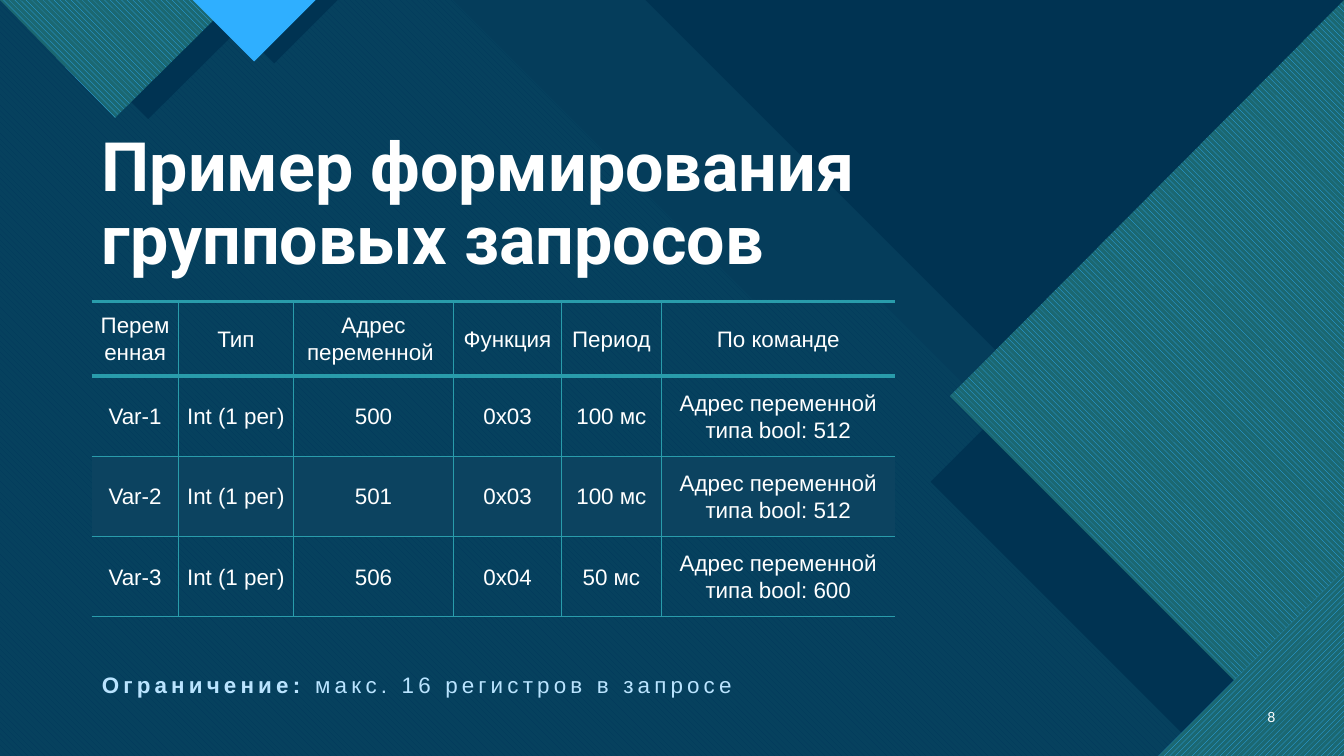
import math
from dataclasses import dataclass

from lxml import etree
from pptx import Presentation
from pptx import util as u
from pptx.dml.color import RGBColor
from pptx.enum import dml, text
from pptx.oxml.ns import qn


@dataclass(frozen=True)
class Theme:
    base: str = "0C4360"
    navy: str = "003352"
    aqua: str = "47C3D3"
    teal: str = "1B6872"
    blue: str = "0065A4"
    sky: str = "2FAFFF"
    pale: str = "BAE4FF"
    white: str = "FFFFFF"
    rule: str = "299CAB"
    head_font: str = "Roboto"
    body_font: str = "Arial"
    number_font: str = "Lato"
    title_size: float = 48.6
    body_size: float = 16
    number_size: float = 10
    thick: float = 3
    thin: float = 1


T = Theme()
DOWN = dml.MSO_PATTERN.WIDE_DOWNWARD_DIAGONAL
UP = dml.MSO_PATTERN.WIDE_UPWARD_DIAGONAL


def rgb(value):
    return RGBColor.from_string(value)


def add_run(p, words, font=T.body_font, size=T.body_size, color=T.white, bold=False, spacing=0):
    r = p.add_run()
    r.text = words
    r.font.name, r.font.size, r.font.bold = font, u.Pt(size), bold
    r.font.color.rgb = rgb(color)
    if spacing:
        r._r.get_or_add_rPr().set("spc", str(spacing * 100))
    return r


def turn(point, degrees):
    a = math.radians(degrees)
    x, y = point
    return x * math.cos(a) - y * math.sin(a), x * math.sin(a) + y * math.cos(a)


class SlideBuilder:
    def __init__(self, prs, theme):
        self.theme = theme
        self.s = prs.slides.add_slide(prs.slide_layouts[1])
        fill = self.s.background.fill
        fill.solid()
        fill.fore_color.rgb = rgb(theme.base)

    def polygon(self, points, color, back=None, pattern=None, alpha=None, rotation=0):
        """Outline in slide inches; rotation turns only the direction of the pattern."""
        local = [turn(pt, -rotation) for pt in points]
        emu = [(u.Inches(x), u.Inches(y)) for x, y in local]
        builder = self.s.shapes.build_freeform(*emu[0], scale=1)
        builder.add_line_segments(emu[1:], close=True)
        sp = builder.convert_to_shape()
        middle = [(min(axis) + max(axis)) / 2 for axis in zip(*local)]
        cx, cy = turn(middle, rotation)
        sp.left = u.Inches(cx) - sp.width // 2
        sp.top = u.Inches(cy) - sp.height // 2
        sp.rotation = rotation
        sp.shadow.inherit = False
        sp.line.fill.background()
        if pattern:
            sp.fill.patterned()
            sp.fill.pattern = pattern
            sp.fill.back_color.rgb = rgb(back)
        else:
            sp.fill.solid()
        sp.fill.fore_color.rgb = rgb(color)
        if alpha:
            clr = sp._element.spPr.find(".//" + qn("a:srgbClr"))
            etree.SubElement(clr, qn("a:alpha")).set("val", str(alpha * 1000))

    def place(self, sp, left, top, width, height, anchor):
        """Bring a text shape to the front and set its box."""
        self.s.shapes._spTree.append(sp._element)
        sp.left, sp.top = u.Inches(left), u.Inches(top)
        sp.width, sp.height = u.Inches(width), u.Inches(height)
        tf = sp.text_frame
        tf.word_wrap = True
        tf.auto_size = text.MSO_AUTO_SIZE.NONE
        tf.vertical_anchor = anchor
        return tf.paragraphs[0]

    def title(self, words, *box):
        p = self.place(self.s.shapes.title, *box, text.MSO_ANCHOR.BOTTOM)
        p.alignment, p.line_spacing = text.PP_ALIGN.LEFT, 0.9
        add_run(p, words, font=self.theme.head_font, size=self.theme.title_size, bold=True)

    def body(self, label, words, *box):
        p = self.place(self.s.placeholders[1], *box, text.MSO_ANCHOR.TOP)
        p.line_spacing, p.space_before = 0.9, u.Pt(10)
        pPr = p._p.get_or_add_pPr()
        pPr.set("marL", "0")
        pPr.set("indent", "0")
        etree.SubElement(pPr, qn("a:buNone"))
        add_run(p, label, color=self.theme.pale, bold=True, spacing=3)
        add_run(p, words, color=self.theme.pale, spacing=3)

    def number(self, words, *box):
        sp = self.s.shapes.add_textbox(0, 0, 0, 0)
        p = self.place(sp, *box, text.MSO_ANCHOR.MIDDLE)
        p.alignment = text.PP_ALIGN.RIGHT
        add_run(p, words, font=self.theme.number_font, size=self.theme.number_size)

    def border(self, cell, side, width):
        ln = etree.SubElement(cell._tc.get_or_add_tcPr(), qn("a:ln" + side))
        ln.set("w", str(u.Pt(width)))
        if width:
            fill = etree.SubElement(ln, qn("a:solidFill"))
            etree.SubElement(fill, qn("a:srgbClr")).set("val", self.theme.rule)
        else:
            etree.SubElement(ln, qn("a:noFill"))

    def cell(self, cell, words, widths, shaded):
        cell.margin_left = cell.margin_right = u.Inches(0.04)
        cell.margin_top = cell.margin_bottom = u.Inches(0.04)
        cell.vertical_anchor = text.MSO_ANCHOR.MIDDLE
        for i, line in enumerate(words.split("\n")):
            p = cell.text_frame.add_paragraph() if i else cell.text_frame.paragraphs[0]
            p.alignment, p.line_spacing = text.PP_ALIGN.CENTER, 1.07
            add_run(p, line)
        for side, width in zip("LRTB", widths):
            self.border(cell, side, width)
        if shaded:
            cell.fill.solid()
            cell.fill.fore_color.rgb = rgb(self.theme.base)
        else:
            cell.fill.background()

    def table(self, rows, left, top, col_widths, row_heights):
        frame = self.s.shapes.add_table(
            len(rows), len(col_widths), u.Inches(left), u.Inches(top),
            u.Inches(sum(col_widths)), u.Inches(sum(row_heights)))
        tbl = frame.table
        tbl.first_row = tbl.horz_banding = False
        for col, width in zip(tbl.columns, col_widths):
            col.width = u.Inches(width)
        thick, thin = self.theme.thick, self.theme.thin
        for i, row in enumerate(rows):
            tbl.rows[i].height = u.Inches(row_heights[i])
            for j, words in enumerate(row):
                widths = (thin if j else 0, thin if j < len(row) - 1 else 0,
                          thick if i < 2 else thin, thin if i else thick)
                self.cell(tbl.cell(i, j), words, widths, shaded=i == 2)


def main():
    prs = Presentation()
    prs.slide_width, prs.slide_height = u.Inches(13.33), u.Inches(7.5)
    b = SlideBuilder(prs, T)

    # Background layers
    b.polygon([(0, 0), (8.26, 0), (11.23, 2.97), (12.35, 2.97), (13.33, 3.96),
               (13.33, 7.5), (0, 7.5)], T.aqua, alpha=74)
    b.polygon([(0, 0), (4.49, 0), (7.46, 2.97), (8.72, 2.97), (13.25, 7.5), (0, 7.5)],
              T.blue, back=T.aqua, pattern=DOWN, rotation=270)
    b.polygon([(6.4, 0), (13.33, 0), (13.33, 6.93)], T.navy)
    b.polygon([(0, 0), (6.95, 0), (9.92, 2.97), (11.18, 2.97), (13.33, 5.13),
               (13.33, 7.5), (0, 7.5)], T.navy, alpha=90)

    # Right-hand diamonds with their shadows
    b.polygon([(13.33, 0.68), (13.33, 7.5), (11.95, 7.5), (9.23, 4.78)], T.navy)
    b.polygon([(13.33, 0), (13.33, 7.5), (12.99, 7.5), (9.42, 3.93)],
              T.sky, back=T.teal, pattern=DOWN, rotation=135)
    b.polygon([(13.33, 6.14), (13.33, 7.5), (11.97, 7.5)], T.navy)
    b.polygon([(13.33, 5.66), (13.33, 7.5), (11.49, 7.5)],
              T.sky, back=T.teal, pattern=UP, rotation=135)

    # Top triangles with their shadows
    b.polygon([(2.66, 0), (1.47, 1.18), (0.29, 0)], T.navy)
    b.polygon([(0, 0), (1.14, 1.17), (2.32, 0)],
              T.sky, back=T.teal, pattern=DOWN, rotation=45)
    b.polygon([(3.35, 0), (2.72, 0.63), (2.09, 0)], T.navy)
    b.polygon([(1.91, 0), (2.52, 0.61), (3.13, 0)], T.sky)

    # Text
    b.title("Пример формирования групповых запросов", 0.91, 1.35, 8.51, 1.47)
    b.body("Ограничение:", " макс. 16 регистров в запросе", 0.91, 6.64, 7.44, 0.4)
    b.number("8", 12.31, 6.91, 0.44, 0.4)

    # Table of variables
    header = ["Переменная", "Тип", "Адрес\nпеременной ", "Функция", "Период", "По команде"]
    variables = [("Var-1", "500", "0х03", "100 мс", 512),
                 ("Var-2", "501", "0х03", "100 мс", 512),
                 ("Var-3", "506", "0х04", "50 мс", 600)]
    rows = [header] + [
        [name, "Int (1 рег)", address, function, period,
         f"Адрес переменной\nтипа bool: {flag}"]
        for name, address, function, period, flag in variables]
    b.table(rows, 0.91, 2.99, [0.86, 1.14, 1.59, 1.07, 0.99, 2.32], [0.74, 0.8, 0.79, 0.8])

    prs.save("out.pptx")


if __name__ == "__main__":
    main()
